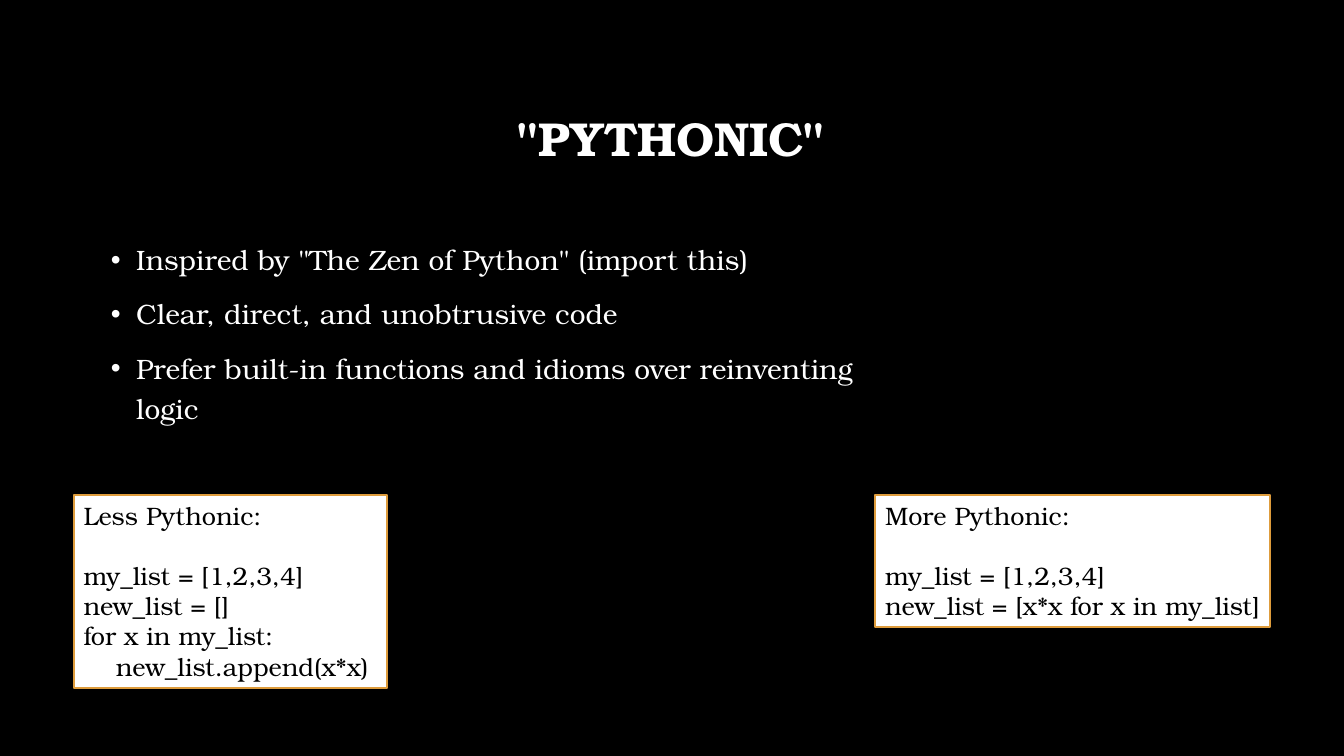
from dataclasses import dataclass

import pptx
import pptx.dml.color
import pptx.enum.shapes
import pptx.enum.text
import pptx.oxml
import pptx.oxml.ns
import pptx.util
from pptx.util import Inches, Pt


@dataclass(frozen=True)
class Theme:
    font: str = "TeX Gyre Bonum"
    background: str = "000000"
    light_text: str = "FFFFFF"
    panel_fill: str = "FFFFFF"
    panel_line: str = "DE9C3C"
    code_text: str = "000000"
    title_size: int = 34
    bullet_size: int = 20
    code_size: int = 18
    code_gap: float = 21.5


THEME = Theme()
CODE_INDENT = Inches(0.32)
BULLETS = [
    'Inspired by "The Zen of Python" (import this)',
    "Clear, direct, and unobtrusive code",
    "Prefer built-in functions and idioms over reinventing logic",
]
LESS_PYTHONIC = [
    ("my_list = [1,2,3,4]", 0),
    ("new_list = []", 0),
    ("for x in my_list:", 0),
    ("new_list.append(x*x)", 1),
]
MORE_PYTHONIC = [
    ("my_list = [1,2,3,4]", 0),
    ("new_list = [x*x for x in my_list]", 0),
]


def rgb(value):
    return pptx.dml.color.RGBColor.from_string(value)


def place(shape, left, top, width, height):
    shape.left, shape.top = Inches(left), Inches(top)
    shape.width, shape.height = Inches(width), Inches(height)


def format_runs(paragraph, size, color, bold=False):
    for run in paragraph.runs:
        run.font.name = THEME.font
        run.font.size = Pt(size)
        run.font.bold = bold
        run.font.color.rgb = rgb(color)


def set_indent(paragraph, left, first_line=0):
    properties = paragraph._p.get_or_add_pPr()
    properties.set("marL", str(int(left)))
    properties.set("indent", str(int(first_line)))
    return properties


def set_bullet(paragraph):
    properties = set_indent(paragraph, Inches(0.25), Inches(-0.25))
    namespace = pptx.oxml.ns.nsdecls("a")
    properties.append(pptx.oxml.parse_xml(f'<a:buFont {namespace} typeface="Arial"/>'))
    properties.append(pptx.oxml.parse_xml(f'<a:buChar {namespace} char="•"/>'))


def add_title(slide, text):
    title = slide.shapes.title
    place(title, 1, 0.67, 11.32, 1.45)
    title.text_frame.text = text
    title.text_frame.vertical_anchor = pptx.enum.text.MSO_ANCHOR.MIDDLE
    paragraph = title.text_frame.paragraphs[0]
    paragraph.alignment = pptx.enum.text.PP_ALIGN.CENTER
    paragraph.line_spacing = 0.9
    format_runs(paragraph, THEME.title_size, THEME.light_text, bold=True)


def add_bullets(slide, items):
    body = slide.placeholders[1]
    place(body, 1, 2.29, 8.24, 1.81)
    body.text_frame.text = "\n".join(items)
    for paragraph in body.text_frame.paragraphs:
        paragraph.line_spacing = 1.2
        paragraph.space_before = Pt(10)
        set_bullet(paragraph)
        format_runs(paragraph, THEME.bullet_size, THEME.light_text)


def add_code_panel(slide, left, width, height, heading, code):
    """Draw a panel with a heading and (line, indent level) pairs of code."""
    panel = slide.shapes.add_shape(
        pptx.enum.shapes.MSO_SHAPE.RECTANGLE,
        Inches(left), Inches(4.91), Inches(width), Inches(height),
    )
    panel.shadow.inherit = False
    panel.fill.solid()
    panel.fill.fore_color.rgb = rgb(THEME.panel_fill)
    panel.line.color.rgb = rgb(THEME.panel_line)
    panel.line.width = Pt(1.5)

    frame = panel.text_frame
    frame.word_wrap = True
    frame.margin_right = 0
    frame.vertical_anchor = pptx.enum.text.MSO_ANCHOR.TOP
    lines = [(heading, 0), *code]
    frame.text = "\n".join(text for text, _ in lines)
    for paragraph, (_, level) in zip(frame.paragraphs, lines):
        paragraph.alignment = pptx.enum.text.PP_ALIGN.LEFT
        set_indent(paragraph, level * CODE_INDENT)
        format_runs(paragraph, THEME.code_size, THEME.code_text)
    frame.paragraphs[0].space_after = Pt(THEME.code_gap)


def main():
    presentation = pptx.Presentation()
    presentation.slide_width = Inches(13.33)
    presentation.slide_height = Inches(7.5)
    slide = presentation.slides.add_slide(presentation.slide_layouts[1])
    slide.background.fill.solid()
    slide.background.fill.fore_color.rgb = rgb(THEME.background)

    add_title(slide, '"PYTHONIC"')
    add_bullets(slide, BULLETS)
    add_code_panel(slide, 0.73, 3.11, 1.92, "Less Pythonic:", LESS_PYTHONIC)
    add_code_panel(slide, 8.68, 3.92, 1.31, "More Pythonic:", MORE_PYTHONIC)
    presentation.save("out.pptx")


if __name__ == "__main__":
    main()
